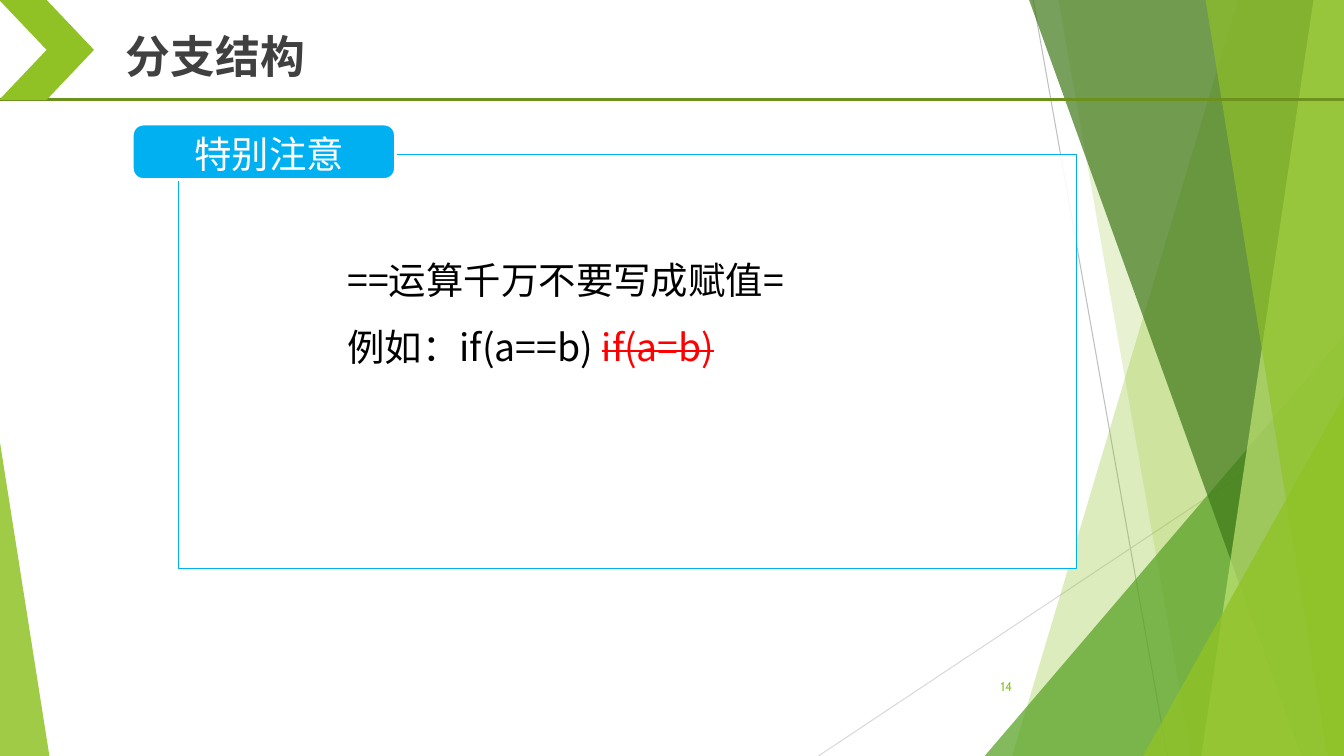
from lxml import etree
from pptx import Presentation
from pptx.dml.color import RGBColor
from pptx.enum import shapes, text
from pptx.oxml import ns
from pptx.util import Pt

WIDTH, HEIGHT = 960, 540
LIME = RGBColor(0x90, 0xC2, 0x26)
GREEN = RGBColor(0x54, 0xA0, 0x21)
FOREST = RGBColor(0x3F, 0x78, 0x19)
PALE_LIME = RGBColor(0xC0, 0xE4, 0x74)
OLIVE = RGBColor(0x6C, 0x92, 0x1D)
GREY = RGBColor(0xBF, 0xBF, 0xBF)
LIGHT_GREY = RGBColor(0xD9, 0xD9, 0xD9)
DARK_GREY = RGBColor(0x40, 0x40, 0x40)
SKY = RGBColor(0x00, 0xB0, 0xF0)
RED = RGBColor(0xFF, 0, 0)
BLACK = RGBColor(0, 0, 0)
WHITE = RGBColor(0xFF, 0xFF, 0xFF)
CJK, LATIN = "Noto Sans CJK SC", "Cabin"

# Start, end, colour, width
BACKDROP_LINES = [
    ((738, 0), (833.8, HEIGHT), GREY, 0.75),
    ((WIDTH, 290.2), (584.6, HEIGHT), LIGHT_GREY, 0.75),
]
HEADER_RULE = ((0, 71.3), (WIDTH, 71.3), OLIVE, 2.25)

# Bands hold the left edge's x at top and bottom; triangles hold a box and apex position
FACETS = [
    ("band", (884.2, 723), LIME, 30),
    ("band", (756, 851), LIME, 20),
    ("triangle", ((703.4, 239.8, 256.6, 300.2), 1), GREEN, 72),
    ("band", (735.1, 929.5), FOREST, 70),
    ("band", (938.2, 858.2), PALE_LIME, 70),
    ("band", (861.1, 948.2), LIME, 65),
    ("triangle", ((816.5, 283, 143.5, 257), 1), LIME, 80),
    ("triangle", ((0, 316.1, 35.3, 223.9), 0), LIME, 85),
]

PAGE_NUMBER = [[("14", LIME)]]
TITLE = [[("分支结构", DARK_GREY)]]
TAB_LABEL = [[("特别注意", WHITE)]]
NOTICE = [
    [("==运算千万不要写成赋值=", BLACK)],
    [("例如：if(a==b) ", BLACK), ("if(a=b)", RED)],
]


def paint(shape, color, opacity=100, line=None, line_width=0.75):
    shape.shadow.inherit = False
    shape.fill.solid()
    shape.fill.fore_color.rgb = color
    if opacity < 100:
        fill_color = shape.element.find(".//" + ns.qn("a:srgbClr"))
        etree.SubElement(fill_color, ns.qn("a:alpha")).set("val", str(opacity * 1000))
    if line is None:
        shape.line.fill.background()
    else:
        shape.line.color.rgb = line
        shape.line.width = Pt(line_width)


def add_preset(slide, preset, box, adjustment=None):
    shape = slide.shapes.add_shape(preset, *map(Pt, box))
    if adjustment is not None:
        shape.adjustments[0] = adjustment
    return shape


def add_band(slide, top_x, bottom_x):
    """Draw a facet from a slanted left edge to the slide's right edge."""
    corners = [(WIDTH, 0), (WIDTH, HEIGHT), (bottom_x, HEIGHT)]
    builder = slide.shapes.build_freeform(Pt(top_x), 0)
    builder.add_line_segments([(Pt(x), Pt(y)) for x, y in corners], close=True)
    return builder.convert_to_shape()


def add_line(slide, start, end, color, width):
    line = slide.shapes.add_connector(
        shapes.MSO_CONNECTOR.STRAIGHT, *map(Pt, start + end))
    line.line.color.rgb = color
    line.line.width = Pt(width)
    etree.SubElement(line.element.spPr, ns.qn("a:effectLst"))


def add_text(slide, box, paragraphs, size, font=CJK, align=text.PP_ALIGN.LEFT,
             bold=False, spacing=None, indent=0, grow=True):
    """Add a text box whose paragraphs are lists of (wording, colour); red is struck out."""
    frame = slide.shapes.add_textbox(*map(Pt, box)).text_frame
    frame.word_wrap = True
    if grow:
        frame.auto_size = text.MSO_AUTO_SIZE.SHAPE_TO_FIT_TEXT
    else:
        frame.vertical_anchor = text.MSO_ANCHOR.MIDDLE
    for index, runs in enumerate(paragraphs):
        paragraph = frame.add_paragraph() if index else frame.paragraphs[0]
        paragraph.alignment = align
        if spacing:
            paragraph.line_spacing = spacing
        if indent:
            properties = paragraph._p.get_or_add_pPr()
            properties.set("marL", "0")
            properties.set("indent", str(Pt(indent)))
        for wording, color in runs:
            run = paragraph.add_run()
            run.text = wording
            run.font.size = Pt(size)
            run.font.bold = bold
            run.font.color.rgb = color
            run.font.name = font
            properties = run._r.get_or_add_rPr()
            etree.SubElement(properties, ns.qn("a:ea")).set("typeface", font)
            if color == RED:
                properties.set("strike", "sngStrike")


def main():
    presentation = Presentation()
    presentation.slide_width, presentation.slide_height = Pt(WIDTH), Pt(HEIGHT)
    slide = presentation.slides.add_slide(presentation.slide_layouts[6])
    preset = shapes.MSO_SHAPE

    for line in BACKDROP_LINES:
        add_line(slide, *line)
    for kind, geometry, color, opacity in FACETS:
        if kind == "band":
            facet = add_band(slide, *geometry)
        else:
            facet = add_preset(slide, preset.ISOSCELES_TRIANGLE, *geometry)
        paint(facet, color, opacity)
    add_text(slide, (676, 476, 54, 28.8), PAGE_NUMBER, 9, LATIN,
             text.PP_ALIGN.RIGHT, grow=False)

    panel = add_preset(slide, preset.RECTANGLE, (127.5, 110.2, 641.5, 296))
    paint(panel, WHITE, 90, SKY)
    tab = add_preset(slide, preset.ROUNDED_RECTANGLE, (94.5, 88.6, 188, 39.6), 0.2)
    paint(tab, SKY, line=WHITE, line_width=2)
    add_text(slide, (97.2, 90, 190, 39.6), TAB_LABEL, 26.7, align=text.PP_ALIGN.CENTER)
    add_text(slide, (193, 164.2, 642.2, 152.6), NOTICE, 26.7, spacing=1.5, indent=48)

    add_line(slide, *HEADER_RULE)
    paint(add_preset(slide, preset.CHEVRON, (-0.5, 0, 67.7, 71.3)), LIME)
    add_text(slide, (82.8, 17.3, 311.8, 46), TITLE, 32, bold=True)

    presentation.save("out.pptx")


if __name__ == "__main__":
    main()
